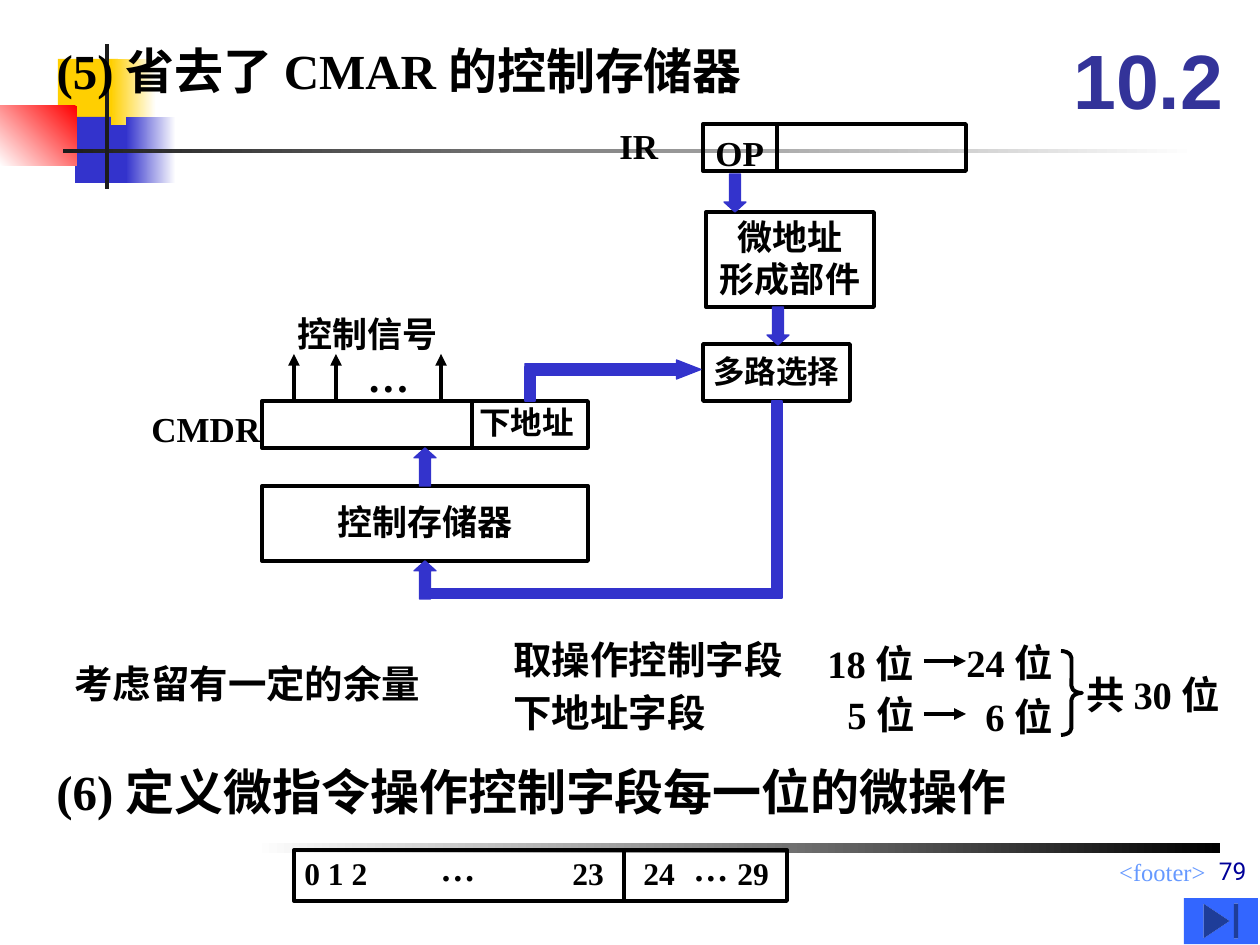
from lxml.etree import SubElement
from pptx import Presentation
from pptx.dml.color import RGBColor
from pptx.enum.shapes import MSO_CONNECTOR, MSO_SHAPE
from pptx.enum.text import MSO_ANCHOR, MSO_AUTO_SIZE, PP_ALIGN
from pptx.oxml.ns import qn
from pptx.util import Emu, Pt

SERIF = "Times New Roman"
BLACK, BLUE, WHITE, DARK = "000000", "3333CC", "FFFFFF", "1C1C1C"

TITLE = ("(5) 省去了 CMAR 的控制存储器", 44, 34, 838, 72, 28)

SOLID_DECOR = [
    (58, 59, 60, 66, "FFCF01"),
    (75, 117, 58, 66, BLUE),
]
GRADIENT_DECOR = [
    (111, 59, 45, 66, WHITE, "FFCF01", 180),
    (126, 117, 50, 66, WHITE, BLUE, 180),
    (0, 106, 77, 60, "FF0000", WHITE, 225),
    (63, 149, 1134, 4, WHITE, DARK, 180),
    (254, 843, 966, 10, BLACK, WHITE, 180),
]
VERTICAL_BAR = (105, 44, 4, 145, DARK)

BOXES = [
    (703, 124, 263, 47, [], 20),
    (706, 212, 168, 95, ["微地址", "形成部件"], 20),
    (703, 344, 147, 57, ["多路选择"], 18),
    (262, 401, 326, 47, [], 20),
    (262, 486, 326, 75, ["控制存储器"], 20),
    (294, 850, 493, 51, [], 18),
]
DIVIDERS = [(777, 124, 171), (472, 401, 448), (624, 850, 903)]
THIN_ARROWS = [(x, 401, x, 354) for x in (294, 336, 441)] + [
    (924, y, 966, y) for y in (661, 714)
]

THICK_PARTS = [
    (MSO_SHAPE.UP_ARROW, 414, 448, 22, 38, (0.5, 0.45)),
    (MSO_SHAPE.UP_ARROW, 414, 561, 22, 38, (0.5, 0.45)),
    (MSO_SHAPE.RECTANGLE, 420, 589, 357, 9, ()),
    (MSO_SHAPE.RECTANGLE, 772, 401, 10, 197, ()),
    (MSO_SHAPE.RIGHT_ARROW, 525, 360, 176, 19, (0.61, 1.28)),
    (MSO_SHAPE.RECTANGLE, 525, 367, 10, 34, ()),
    (MSO_SHAPE.DOWN_ARROW, 767, 307, 22, 38, (0.5, 0.45)),
    (MSO_SHAPE.DOWN_ARROW, 724, 174, 22, 38, (0.5, 0.45)),
]

LABELS = [
    ("IR", 607, 118, 64, 55, 20),
    ("OP", 703, 125, 73, 55, 20),
    ("控制信号", 285, 306, 165, 55, 20),
    ("…", 355, 344, 67, 63, 24),
    ("CMDR", 139, 401, 134, 55, 20),
    ("下地址", 467, 397, 120, 50, 18),
    ("考虑留有一定的余量", 62, 654, 462, 59, 22),
    ("取操作控制字段", 501, 630, 294, 59, 22),
    ("下地址字段", 501, 683, 217, 59, 22),
    ("18 位", 815, 634, 121, 59, 22),
    ("5 位", 835, 685, 101, 59, 22),
    ("24 位", 954, 633, 121, 59, 22),
    ("6 位", 973, 687, 101, 59, 22),
    ("共 30 位", 1074, 665, 176, 59, 22),
    ("(6) 定义微指令操作控制字段每一位的微操作", 44, 755, 1068, 72, 28),
    ("…", 428, 840, 60, 55, 20),
    ("…", 681, 840, 60, 55, 20),
]
BIT_NUMBERS = ("0 1 2\t23\t24\t29", 292, 848, 490, 50, 18)
BIT_TABS = (268, 339, 433)


def px(value):
    return Emu(round(value * 914400 / 126))


def rgb(value):
    return RGBColor.from_string(value)


def write(shape, lines, size, color=BLACK, font=SERIF, bold=True,
          align=PP_ALIGN.LEFT, anchor=MSO_ANCHOR.TOP, wrap=True, tabs=()):
    frame = shape.text_frame
    frame.word_wrap = wrap
    frame.auto_size = MSO_AUTO_SIZE.NONE
    frame.vertical_anchor = anchor
    for index, line in enumerate(lines):
        paragraph = frame.add_paragraph() if index else frame.paragraphs[0]
        paragraph.alignment = align
        if tabs:
            tab_list = SubElement(paragraph._p.get_or_add_pPr(), qn("a:tabLst"))
            for position in tabs:
                SubElement(tab_list, qn("a:tab"), pos=str(px(position)), algn="l")
        run = paragraph.add_run()
        run.text = line
        run.font.name, run.font.size, run.font.bold = font, Pt(size), bold
        run.font.color.rgb = rgb(color)


def add_label(slide, text, left, top, width, height, size, **style):
    box = slide.shapes.add_textbox(px(left), px(top), px(width), px(height))
    write(box, [text], size, **style)


def add_shape(slide, kind, left, top, width, height, fill=None, line=None, weight=2.25):
    shape = slide.shapes.add_shape(kind, px(left), px(top), px(width), px(height))
    shape.shadow.inherit = False
    if fill:
        shape.fill.solid()
        shape.fill.fore_color.rgb = rgb(fill)
    else:
        shape.fill.background()
    if line:
        shape.line.color.rgb = rgb(line)
        shape.line.width = Pt(weight)
    else:
        shape.line.fill.background()
    return shape


def add_gradient(slide, left, top, width, height, start, end, angle):
    shape = add_shape(slide, MSO_SHAPE.RECTANGLE, left, top, width, height)
    shape.fill.gradient()
    shape.fill.gradient_angle = angle
    for stop, color in zip(shape.fill.gradient_stops, (start, end)):
        stop.color.rgb = rgb(color)


def add_line(slide, x1, y1, x2, y2, arrow=False):
    line = slide.shapes.add_connector(MSO_CONNECTOR.STRAIGHT, px(x1), px(y1), px(x2), px(y2))
    line.line.color.rgb = rgb(BLACK)
    line.line.width = Pt(2.25)
    if arrow:
        SubElement(line.line._get_or_add_ln(), qn("a:tailEnd"), type="triangle")
    SubElement(line._element.spPr, qn("a:effectLst"))


def main():
    """Build the slide on a control store without a CMAR."""
    presentation = Presentation()
    presentation.slide_width, presentation.slide_height = px(1260), px(945)
    slide = presentation.slides.add_slide(presentation.slide_layouts[5])

    for *place, color in SOLID_DECOR:
        add_shape(slide, MSO_SHAPE.RECTANGLE, *place, fill=color)
    for decor in GRADIENT_DECOR:
        add_gradient(slide, *decor)
    add_shape(slide, MSO_SHAPE.RECTANGLE, *VERTICAL_BAR)

    text, left, top, width, height, size = TITLE
    title = slide.shapes.title
    title.left, title.top, title.width, title.height = map(px, (left, top, width, height))
    write(title, [text], size)
    title.element.getparent().append(title.element)

    for *place, lines, size in BOXES:
        box = add_shape(slide, MSO_SHAPE.RECTANGLE, *place, line=BLACK)
        if lines:
            box.text_frame.margin_top = px(3)
            write(box, lines, size, align=PP_ALIGN.CENTER,
                  anchor=MSO_ANCHOR.MIDDLE, wrap=False)
    for x, top, bottom in DIVIDERS:
        add_line(slide, x, top, x, bottom)
    for ends in THIN_ARROWS:
        add_line(slide, *ends, arrow=True)
    for kind, *place, adjustments in THICK_PARTS:
        part = add_shape(slide, kind, *place, fill=BLUE, line=BLUE, weight=0.75)
        for index, value in enumerate(adjustments):
            part.adjustments[index] = value
    brace = add_shape(slide, MSO_SHAPE.RIGHT_BRACE, 1061, 651, 21, 84, line=BLACK)
    brace.adjustments[0] = 0.33

    for label in LABELS:
        add_label(slide, *label, wrap=False)
    add_label(slide, *BIT_NUMBERS, tabs=BIT_TABS)
    add_label(slide, "10.2", 1061, 21, 199, 116, 44, color="333399",
              font="Arial", anchor=MSO_ANCHOR.MIDDLE)
    add_label(slide, "<footer>", 494, 851, 724, 33, 14, color="6699FF",
              bold=False, align=PP_ALIGN.RIGHT)
    add_label(slide, "79", 656, 829, 603, 63, 14, color="000099", font="Roboto",
              bold=False, align=PP_ALIGN.RIGHT, anchor=MSO_ANCHOR.BOTTOM)
    add_shape(slide, MSO_SHAPE.ACTION_BUTTON_END, 1184, 898, 74, 46, fill="3366FF")
    presentation.save("out.pptx")


if __name__ == "__main__":
    main()
